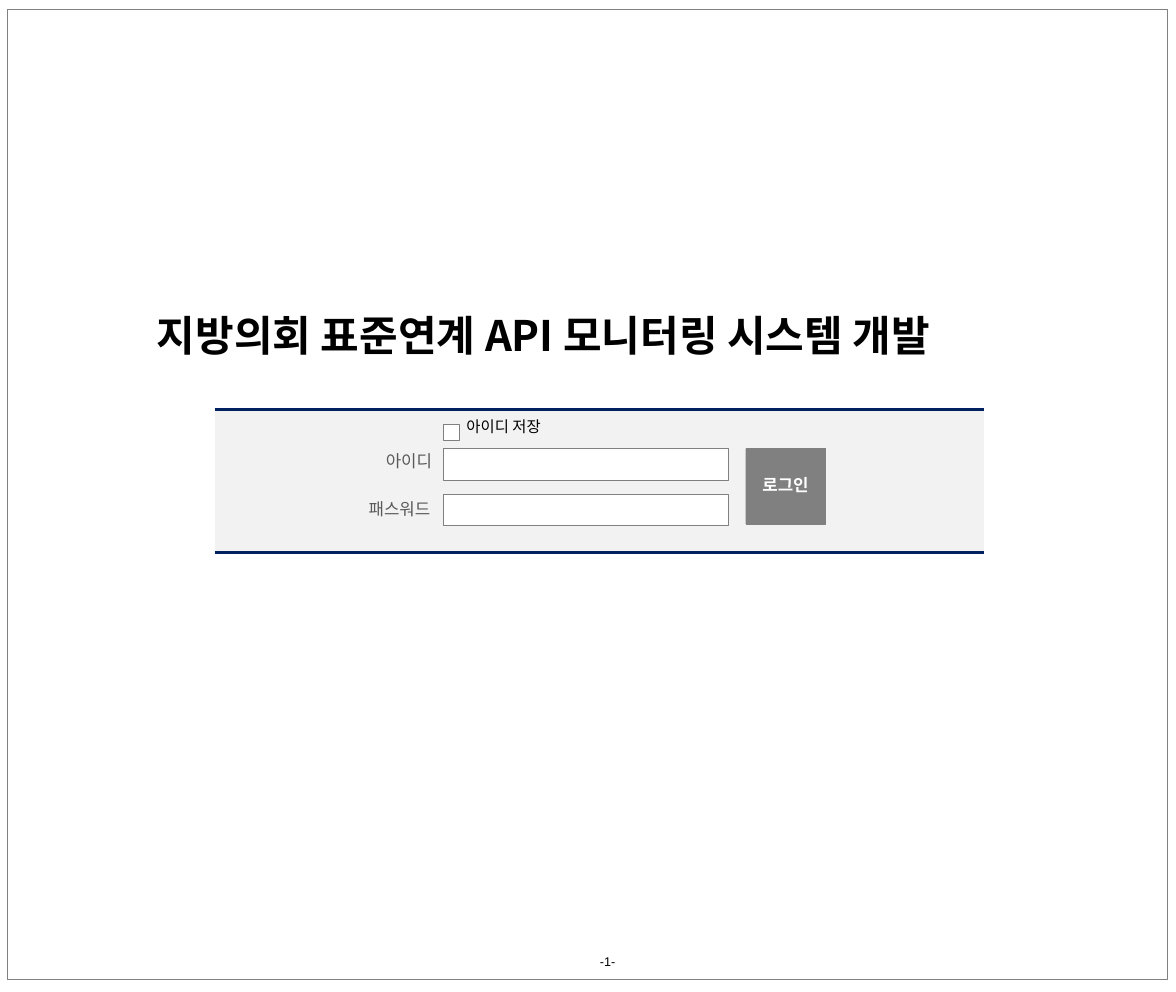
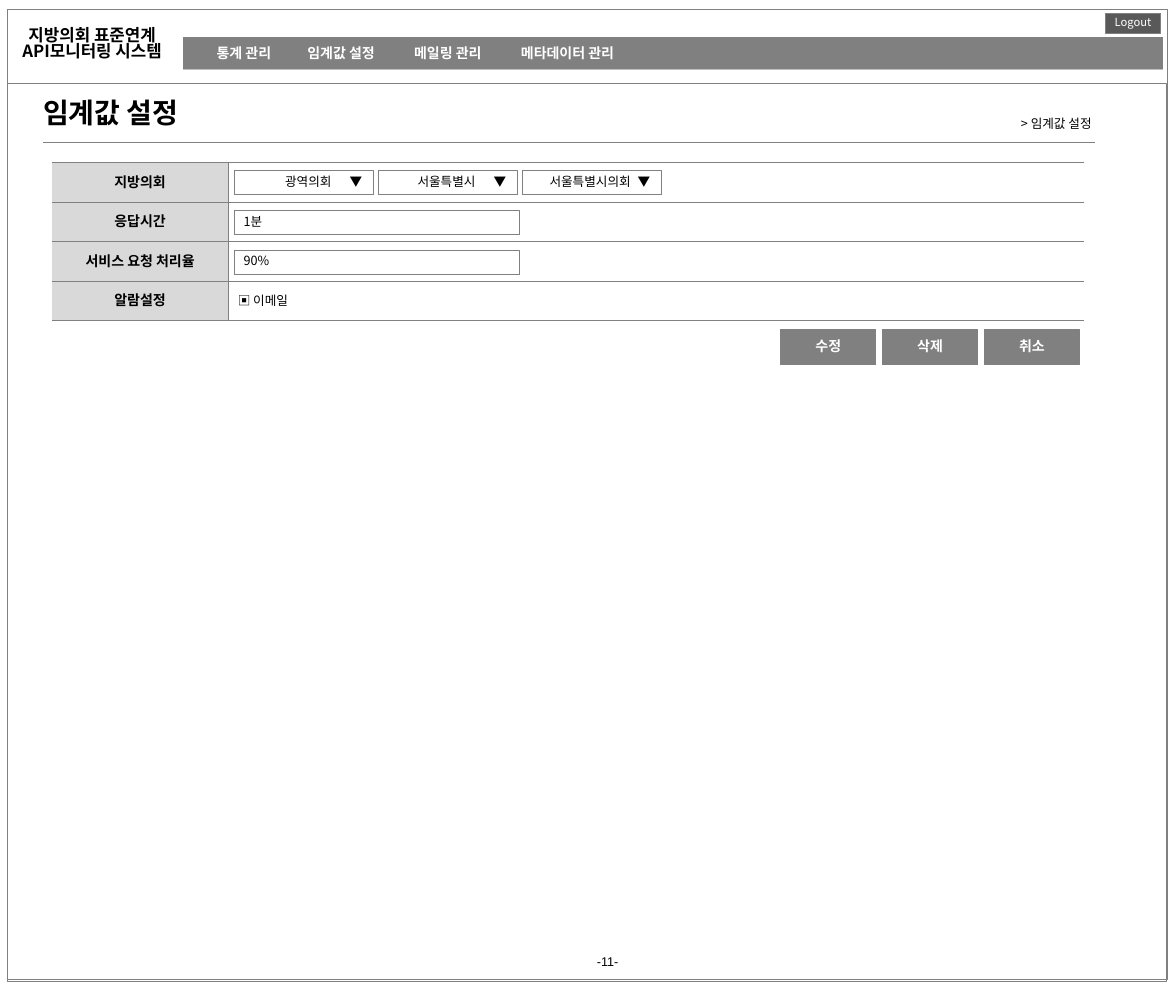
from dataclasses import dataclass
from typing import Any, NamedTuple, Optional

from lxml import etree
from pptx import Presentation
from pptx import util as u
from pptx.dml.color import RGBColor
from pptx.enum import shapes, text
from pptx.oxml import ns


# Theme: colours, fonts and type sizes
@dataclass(frozen=True)
class Theme:
    black: str = "000000"
    white: str = "FFFFFF"
    gray: str = "808080"
    dark: str = "595959"
    silver: str = "BFBFBF"
    label: str = "D9D9D9"
    panel: str = "F2F2F2"
    navy: str = "002060"
    font: str = "Noto Sans CJK KR"
    number_font: str = "Arial"
    cover: int = 30
    title: int = 20
    large: int = 12
    medium: int = 11
    body: int = 10
    small: int = 9
    tiny: int = 8
    hairline: float = 0.25
    thin: float = 0.75
    thick: float = 2.25
    leading: float = 0.82


T = Theme()
LEFT, CENTER, RIGHT = text.PP_ALIGN.LEFT, text.PP_ALIGN.CENTER, text.PP_ALIGN.RIGHT
TOP, MIDDLE = text.MSO_ANCHOR.TOP, text.MSO_ANCHOR.MIDDLE


class Box(NamedTuple):
    left: float
    top: float
    width: float
    height: float

    def inches(self) -> list:
        return [u.Inches(v) for v in self]


class Tab(NamedTuple):
    pos: float
    align: str = "l"


@dataclass(frozen=True)
class Style:
    size: int = T.small
    color: str = T.black
    bold: bool = False
    align: Any = LEFT
    font: str = T.font
    tabs: tuple = ()


@dataclass(frozen=True)
class Label:
    box: Box
    text: str
    style: Style


class Border(NamedTuple):
    color: str
    width: float


class Dropdown(NamedTuple):
    text: str
    text_end: float


BUTTON = Style(T.body, T.white, True, CENTER)
LOGIN = Style(T.large, T.white, True, CENTER)
FIELD_LABEL = Style(T.large, T.dark)
GRID = Border(T.gray, T.hairline)


# Text and format helpers
def set_attrs(obj: Any, values: dict) -> None:
    for name, value in values.items():
        setattr(obj, name, value)


def write(tf: Any, content: str, style: Style) -> None:
    p = tf.paragraphs[0]
    set_attrs(p, {"alignment": style.align, "line_spacing": T.leading})
    if style.tabs:
        tab_list = etree.SubElement(p._p.get_or_add_pPr(), ns.qn("a:tabLst"))
        for tab in style.tabs:
            etree.SubElement(tab_list, ns.qn("a:tab"),
                             pos=str(u.Inches(tab.pos)), algn=tab.align)
    r = p.add_run()
    r.text = content
    set_attrs(r.font, {"size": u.Pt(style.size), "bold": style.bold, "name": style.font})
    r.font.color.rgb = RGBColor.from_string(style.color)
    etree.SubElement(r.font._element, ns.qn("a:ea"), typeface=style.font)


def add_text(s: Any, label: Label, anchor: Any = TOP) -> None:
    tf = s.shapes.add_textbox(*label.box.inches()).text_frame
    set_attrs(tf, {"word_wrap": True, "vertical_anchor": anchor})
    write(tf, label.text, label.style)


def add_rect(s: Any, box: Box, fill: Optional[str] = None, line: float = T.hairline,
             content: str = "", style: Style = BUTTON, wrap: bool = True) -> None:
    sp = s.shapes.add_shape(shapes.MSO_SHAPE.RECTANGLE, *box.inches())
    sp.shadow.inherit = False
    if fill:
        sp.fill.solid()
        sp.fill.fore_color.rgb = RGBColor.from_string(fill)
    else:
        sp.fill.background()
    sp.line.width = u.Pt(line)
    sp.line.color.rgb = RGBColor.from_string(T.gray)
    if content:
        set_attrs(sp.text_frame, {"word_wrap": wrap, "vertical_anchor": MIDDLE})
        write(sp.text_frame, content, style)


def add_rule(s: Any, left: float, right: float, y: float) -> None:
    line = s.shapes.add_connector(shapes.MSO_CONNECTOR.STRAIGHT, u.Inches(left),
                                  u.Inches(y), u.Inches(right), u.Inches(y))
    line.line.width = u.Pt(T.thin)
    line.line.color.rgb = RGBColor.from_string(T.gray)
    etree.SubElement(line._element.spPr, ns.qn("a:effectLst"))


# Table helpers
def add_table(s: Any, box: Box, rows: int, widths: list) -> Any:
    tbl = s.shapes.add_table(rows, len(widths), *box.inches()).table
    set_attrs(tbl, {"first_row": False, "horz_banding": False})
    for col, width in zip(tbl.columns, widths):
        col.width = u.Inches(width)
    return tbl


def format_cell(cell: Any, fill: str, borders: dict) -> None:
    set_attrs(cell, {"margin_top": 0, "margin_bottom": 0, "vertical_anchor": MIDDLE})
    cell.fill.solid()
    cell.fill.fore_color.rgb = RGBColor.from_string(fill)
    tc_pr = cell._tc.get_or_add_tcPr()
    for i, side in enumerate("LRTB"):
        ln = etree.Element(ns.qn(f"a:ln{side}"))
        border = borders.get(side)
        if border:
            ln.set("w", str(u.Pt(border.width)))
            paint = etree.SubElement(ln, ns.qn("a:solidFill"))
            etree.SubElement(paint, ns.qn("a:srgbClr"), val=border.color)
        else:
            etree.SubElement(ln, ns.qn("a:noFill"))
        tc_pr.insert(i, ln)


# Page frame and number shared by the slides
def add_page(prs: Any, number: int) -> Any:
    s = prs.slides.add_slide(prs.slide_layouts[6])
    add_rect(s, Box(0.07, 0.09, 11.52, 9.63), line=T.thin)
    add_text(s, Label(Box(2.62, 9.38, 6.82, 0.34), f"-{number}-",
                      Style(align=CENTER, font=T.number_font)), MIDDLE)
    return s


def build_login(prs: Any) -> None:
    s = add_page(prs, 1)
    add_text(s, Label(Box(1.46, 3.11, 8.7, 0.61),
                      "지방의회 표준연계 API 모니터링 시스템 개발",
                      Style(T.cover, bold=True)))

    # Login panel
    panel = Box(2.13, 4.06, 7.64, 1.42)
    edge = Border(T.navy, T.thick)
    tbl = add_table(s, panel, 1, [panel.width])
    format_cell(tbl.cell(0, 0), T.panel, {"T": edge, "B": edge})

    # Fields, checkbox and button
    for label in (
        Label(Box(3.73, 4.46, 0.71, 0.3), "아이디", FIELD_LABEL),
        Label(Box(3.56, 4.93, 0.88, 0.3), "패스워드", FIELD_LABEL),
        Label(Box(4.53, 4.12, 1.41, 0.3), "아이디 저장", Style(T.medium)),
    ):
        add_text(s, label)
    for box in (Box(4.4, 4.45, 2.83, 0.31), Box(4.4, 4.9, 2.83, 0.31),
                Box(4.4, 4.21, 0.16, 0.16)):
        add_rect(s, box, T.white)
    add_rect(s, Box(7.4, 4.45, 0.79, 0.75), T.gray, content="로그인", style=LOGIN)


def build_threshold(prs: Any) -> None:
    s = add_page(prs, 11)
    add_rect(s, Box(0.07, 0.83, 11.5, 8.9))

    # Header: system name, logout and menu
    add_text(s, Label(Box(0.08, 0.23, 1.67, 0.51), "지방의회 표준연계 API모니터링 시스템",
                      Style(T.large, bold=True, align=CENTER)))
    add_rect(s, Box(10.97, 0.13, 0.55, 0.2), T.dark, T.thin, "Logout",
             Style(T.tiny, T.white, align=CENTER), wrap=False)
    menu = Box(1.82, 0.37, 9.72, 0.32)
    cell = add_table(s, menu, 1, [menu.width]).cell(0, 0)
    format_cell(cell, T.gray, {"B": Border(T.silver, T.hairline)})
    cell.margin_left = u.Inches(0.33)
    items = ("통계 관리", "임계값 설정", "메일링 관리", "메타데이터 관리")
    write(cell.text_frame, "\t".join(items),
          Style(T.body, T.white, True, tabs=(Tab(0.9), Tab(1.96), Tab(3.02))))

    # Page title and breadcrumb
    add_text(s, Label(Box(0.33, 0.96, 4.13, 0.45), "임계값 설정",
                      Style(T.title, bold=True)))
    add_text(s, Label(Box(8.51, 1.13, 2.42, 0.25), "> 임계값 설정", Style(align=RIGHT)))
    add_rule(s, 0.43, 10.87, 1.41)

    # Settings table
    rows = (("지방의회", ""), ("응답시간", ""), ("서비스 요청 처리율", ""),
            ("알람설정", "▣ 이메일"))
    tbl = add_table(s, Box(0.52, 1.61, 10.24, 1.57), len(rows), [1.74, 8.5])
    for i, (name, value) in enumerate(rows):
        head, body = tbl.cell(i, 0), tbl.cell(i, 1)
        format_cell(head, T.label, dict.fromkeys("RTB", GRID))
        format_cell(body, T.white, dict.fromkeys("LTB", GRID))
        write(head.text_frame, name, Style(T.body, bold=True, align=CENTER))
        if value:
            write(body.text_frame, value, Style())

    # Dropdowns and input fields
    left, top, height = 2.32, 1.69, 0.24
    choices = (Dropdown("광역의회", 0.87), Dropdown("서울특별시", 0.87),
               Dropdown("서울특별시의회", 0.98))
    for i, choice in enumerate(choices):
        add_rect(s, Box(left + 1.43 * i, top, 1.38, height), T.white,
                 content=f"\t{choice.text}\t▼",
                 style=Style(tabs=(Tab(choice.text_end, "r"), Tab(1.05))))
    for i, value in enumerate(("1분", "90%"), start=1):
        add_rect(s, Box(left, top + 0.395 * i, 2.83, height), T.white,
                 content=value, style=Style())

    # Action buttons
    for i, action in enumerate(("수정", "삭제", "취소")):
        add_rect(s, Box(7.75 + 1.01 * i, 3.27, 0.94, 0.35), T.gray, T.thin,
                 action, BUTTON, wrap=False)


def main() -> None:
    prs = Presentation()
    set_attrs(prs, {"slide_width": u.Inches(11.67), "slide_height": u.Inches(9.84)})
    build_login(prs)
    build_threshold(prs)
    prs.save("out.pptx")


if __name__ == "__main__":
    main()
